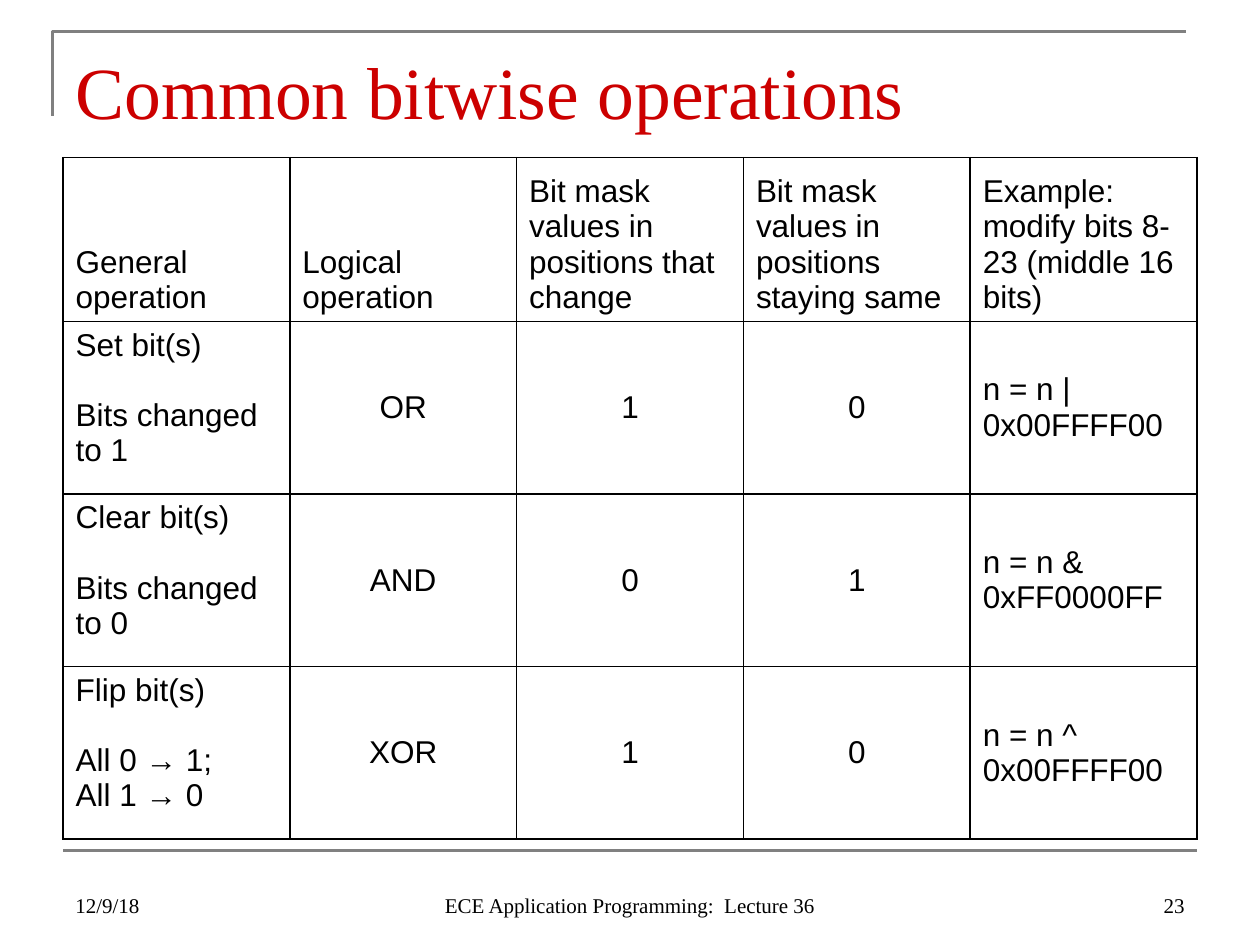
from lxml.etree import SubElement
from pptx import Presentation
from pptx.dml.color import RGBColor
from pptx.enum.shapes import MSO_CONNECTOR as Connector
from pptx.enum.text import MSO_ANCHOR as Anchor, PP_ALIGN as Align
from pptx.oxml.ns import qn
from pptx.util import Pt

SERIF, SANS = "Times New Roman", "Arial"
BLACK, WHITE, GRAY, RED = "000000", "FFFFFF", "808080", "CC0000"

HEADERS = [
    "General operation",
    "Logical operation",
    "Bit mask values in positions that change",
    "Bit mask values in positions staying same",
    "Example: modify bits 8-23 (middle 16 bits)",
]
OPERATIONS = [
    ["Set bit(s)\nBits changed to 1", "OR", "1", "0", "n = n | 0x00FFFF00"],
    ["Clear bit(s)\nBits changed to 0", "AND", "0", "1", "n = n & 0xFF0000FF"],
    ["Flip bit(s)\nAll 0 → 1;\nAll 1 → 0", "XOR", "1", "0", "n = n ^ 0x00FFFF00"],
]


def color(value):
    return RGBColor.from_string(value)


def style_text(frame, font_name, size, ink, align=Align.LEFT):
    for para in frame.paragraphs:
        para.alignment = align
        for span in para.runs:
            span.font.name = font_name
            span.font.size = Pt(size)
            span.font.color.rgb = color(ink)


def add_text(page, box, text, size, ink, align=Align.LEFT, bottom=3.6):
    frame = page.shapes.add_textbox(*map(Pt, box)).text_frame
    frame.word_wrap = True
    frame.vertical_anchor = Anchor.BOTTOM
    frame.margin_bottom = Pt(bottom)
    frame.text = text
    style_text(frame, SERIF, size, ink, align)


def style_line(line):
    line.color.rgb = color(GRAY)
    line.width = Pt(1.5)


def add_title(page, box):
    left, top, width, height = box
    # Corner rule around the title
    corner = page.shapes.build_freeform(Pt(left - 6), Pt(top + 44.5))
    corner.add_line_segments(
        [(Pt(left - 6), Pt(top - 3.6)), (Pt(left + width - 6), Pt(top - 3.6))],
        close=False,
    )
    rule = corner.convert_to_shape()
    rule.shadow.inherit = False
    rule.fill.background()
    style_line(rule.line)
    add_text(page, box, "Common bitwise operations", 42, RED, bottom=1.2)


def set_borders(cell):
    properties = cell._tc.get_or_add_tcPr()
    for position, side in enumerate(("lnL", "lnR", "lnT", "lnB")):
        border = SubElement(properties, qn(f"a:{side}"), w=str(Pt(1)))
        fill = SubElement(border, qn("a:solidFill"))
        SubElement(fill, qn("a:srgbClr"), val=BLACK)
        properties.insert(position, border)


def add_operations_table(page, box):
    left, top, width, height = box
    rows = [HEADERS] + OPERATIONS
    header_height = 93.6
    row_height = (height - header_height) / len(OPERATIONS)
    table = page.shapes.add_table(len(rows), len(HEADERS), *map(Pt, box)).table
    table.first_row = table.horz_banding = False
    for column in table.columns:
        column.width = Pt(width / len(HEADERS))
    for row_index, texts in enumerate(rows):
        table.rows[row_index].height = Pt(row_height if row_index else header_height)
        for column_index, text in enumerate(texts):
            cell = table.cell(row_index, column_index)
            cell.fill.solid()
            cell.fill.fore_color.rgb = color(WHITE)
            set_borders(cell)
            cell.text_frame.text = text
            centered = row_index > 0 and column_index in (1, 2, 3)
            style_text(cell.text_frame, SANS, 18, BLACK,
                       Align.CENTER if centered else Align.LEFT)
            if row_index == 0:
                cell.vertical_anchor = Anchor.BOTTOM
            elif column_index == 0:
                # One line of space between the name and its effect
                cell.vertical_anchor = Anchor.TOP
                cell.text_frame.paragraphs[1].space_before = Pt(20)
            else:
                cell.vertical_anchor = Anchor.MIDDLE


def add_footer(page, box):
    left, top, width, height = box
    # Rule above the footer
    rule = page.shapes.add_connector(
        Connector.STRAIGHT, Pt(left), Pt(top - 6), Pt(left + width), Pt(top - 6))
    style_line(rule.line)
    SubElement(rule._element.spPr, qn("a:effectLst"))
    # Date, course and page number
    side, middle = 168, 228
    parts = [
        (left, side, "12/9/18", Align.LEFT),
        (left + (width - middle) / 2, middle,
         "ECE Application Programming:  Lecture 36", Align.CENTER),
        (left + width - side, side, "23", Align.RIGHT),
    ]
    for part_left, part_width, text, align in parts:
        add_text(page, (part_left, top, part_width, height), text, 12, BLACK, align)


def main():
    deck = Presentation()
    deck.slide_width, deck.slide_height = Pt(720), Pt(540)
    page = deck.slides.add_slide(deck.slide_layouts[6])
    add_title(page, (36, 21.6, 648, 56.2))
    add_operations_table(page, (36, 90, 648, 389.5))
    add_footer(page, (36, 492, 648, 36))
    deck.save("out.pptx")


if __name__ == "__main__":
    main()
